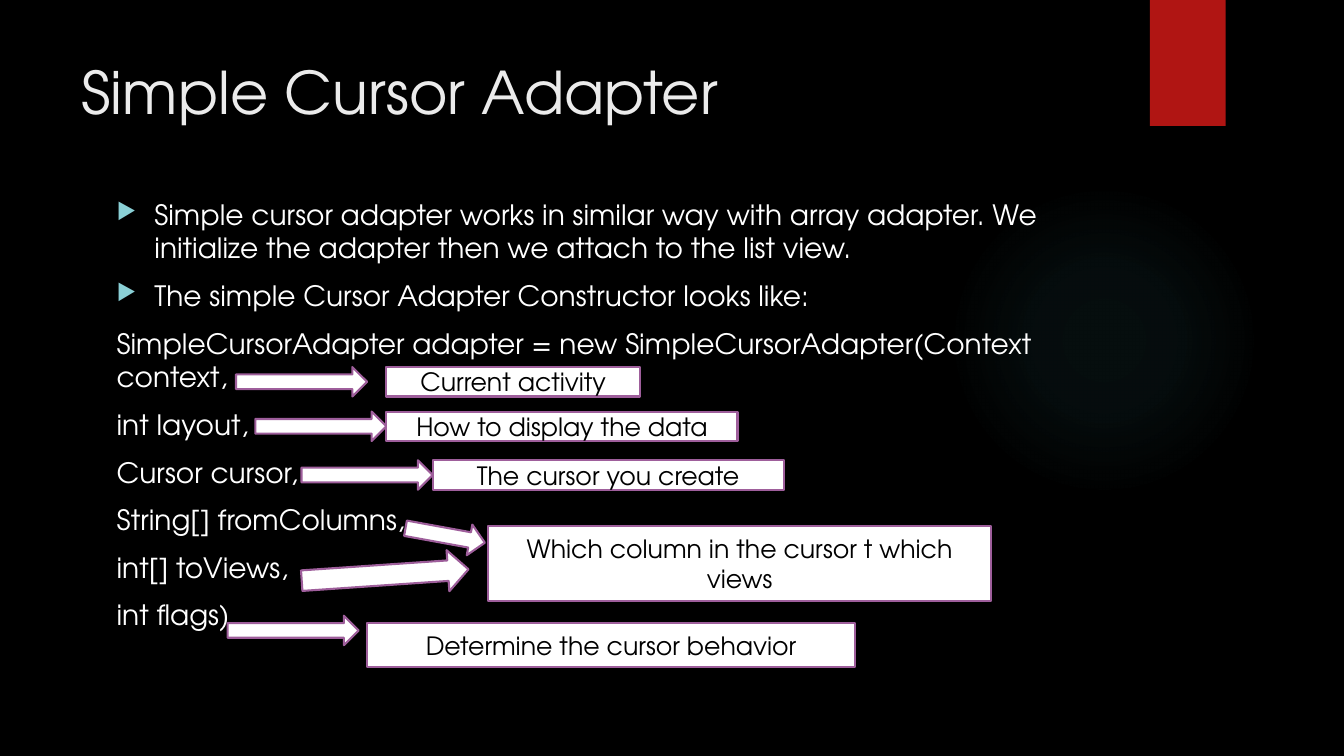
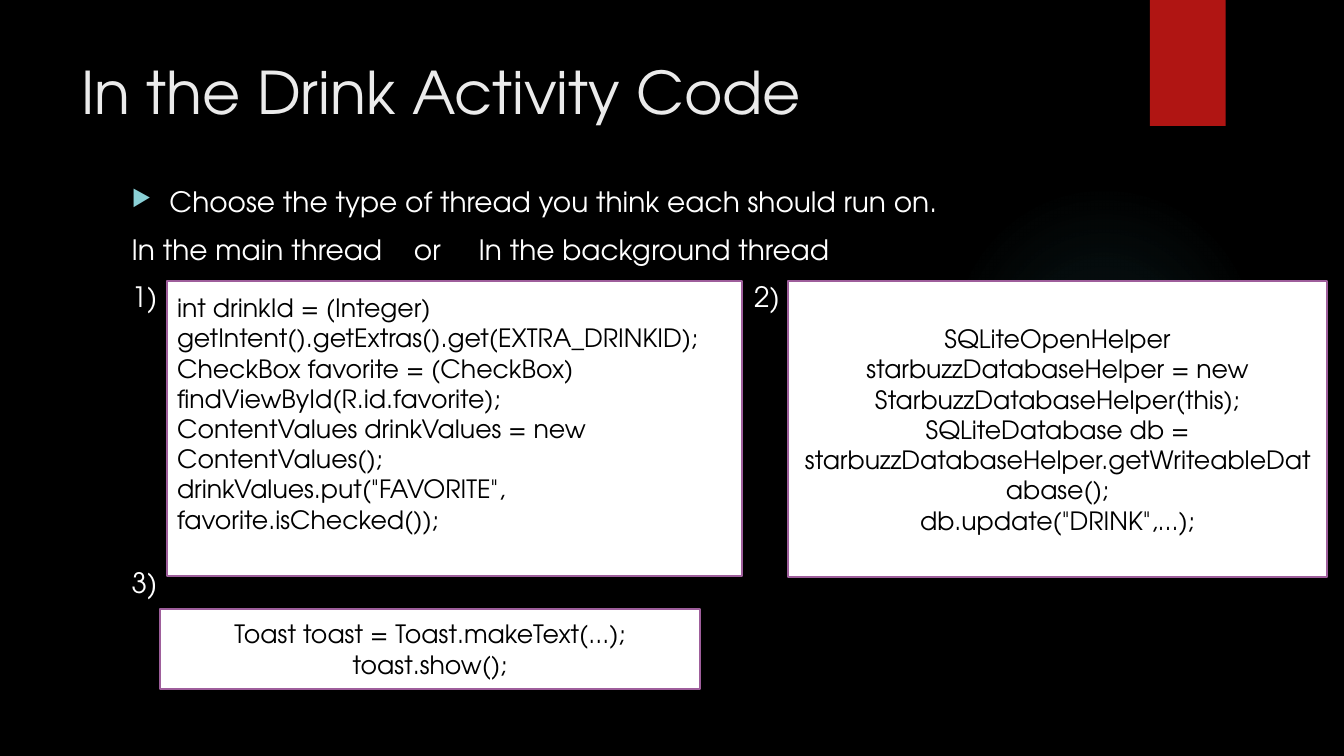
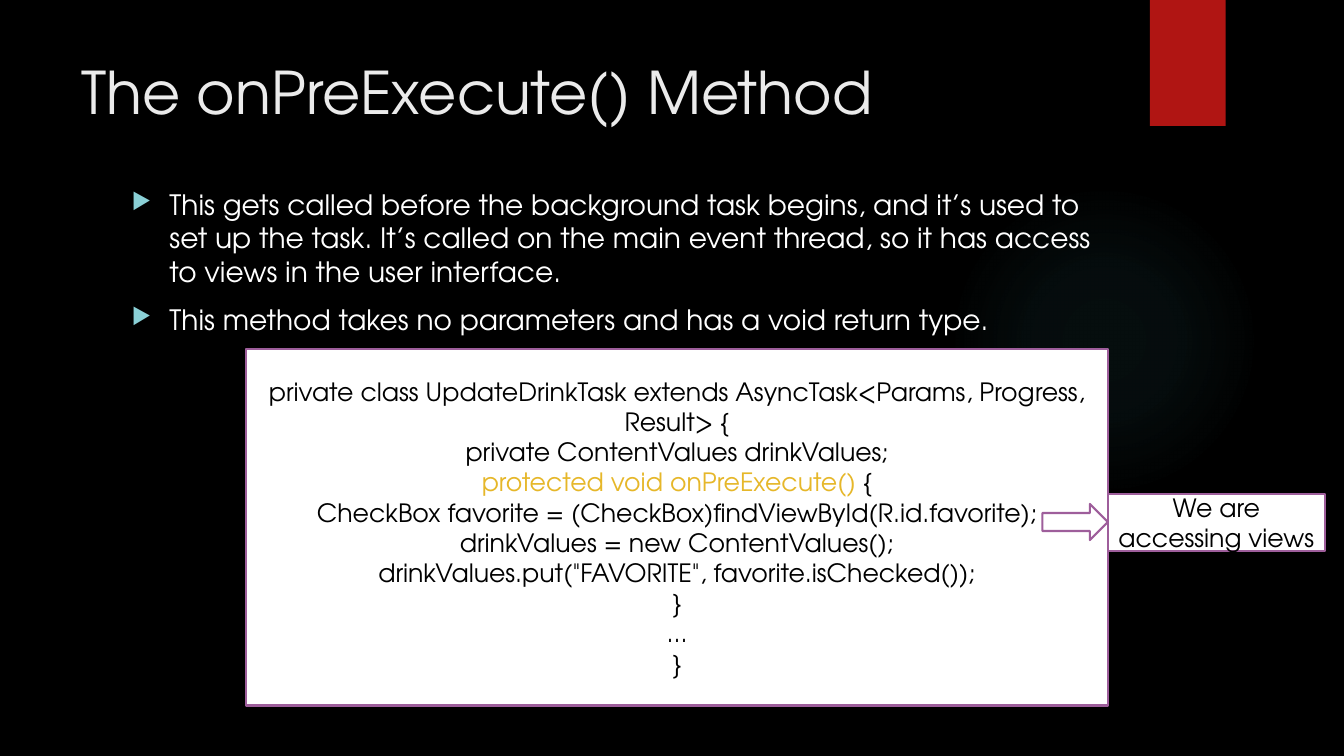
"""Build three dark slides on cursor adapters and background tasks."""
from lxml import etree
from pptx import Presentation
from pptx.dml.color import RGBColor as Color
from pptx.enum.shapes import MSO_SHAPE as Kind
from pptx.enum.text import MSO_ANCHOR as Anchor, MSO_AUTO_SIZE as Auto, PP_ALIGN as Align
from pptx.oxml import parse_xml
from pptx.oxml.ns import nsdecls, qn
from pptx.util import Inches, Pt

BLACK = Color(0x00, 0x00, 0x00)
WHITE = Color(0xFF, 0xFF, 0xFF)
PALE = Color(0xEB, 0xEB, 0xEB)
RED = Color(0xB0, 0x15, 0x13)
TEAL = Color(0x50, 0xB9, 0xC1)
AQUA = Color(0x8A, 0xD0, 0xD6)
PLUM = Color(0x9E, 0x5E, 0x9B)
GOLD = Color(0xE6, 0xB7, 0x29)
FONT = "TeX Gyre Adventor"
COLS, ROWS = 160, 90
UNIT = Inches(1 / 12)
RIGHT, BASE = 131.9, 82
THIN = 3.5
REACH = 15.6


def write(frame, paras, size=18, color=BLACK, align=Align.CENTER,
          anchor=Anchor.MIDDLE, gap=0, bullets=0, tabs=(), gaps={}):
    """Fill a text frame; a paragraph is a string or a list of (text, colour)."""
    frame.word_wrap = True
    frame.auto_size = Auto.NONE
    frame.vertical_anchor = anchor
    for n, para in enumerate(paras):
        p = frame.add_paragraph() if n else frame.paragraphs[0]
        prop = p._p.get_or_add_pPr()
        if n < bullets:
            prop.set("marL", str(int(4.5 * UNIT)))
            prop.set("indent", str(int(-4.5 * UNIT)))
            tint = etree.SubElement(prop, qn("a:buClr"))
            etree.SubElement(tint, qn("a:srgbClr"), val=str(AQUA))
            etree.SubElement(prop, qn("a:buSzPct"), val="80000")
            etree.SubElement(prop, qn("a:buChar"), char="▶")
        if tabs and "\t" in para:
            stops = etree.SubElement(prop, qn("a:tabLst"))
            for stop in tabs:
                etree.SubElement(stops, qn("a:tab"), pos=str(int(stop * UNIT)), algn="l")
        p.alignment = align
        p.space_before = Pt(gaps.get(n, gap) if n else 0)
        for text, shade in [(para, color)] if isinstance(para, str) else para:
            run = p.add_run()
            run.text = text
            run.font.size, run.font.name = Pt(size), FONT
            run.font.color.rgb = shade


def draw(slide, kind, at, fill=WHITE, line=PLUM, turn=0):
    """Add a flat preset shape placed in grid units."""
    shape = slide.shapes.add_shape(kind, *(int(n * UNIT) for n in at))
    shape.shadow.inherit = False
    shape.rotation = turn
    shape.fill.solid()
    shape.fill.fore_color.rgb = fill
    if line:
        shape.line.color.rgb = line
        shape.line.width = Pt(1.5)
    else:
        shape.line.fill.background()
    return shape


deck = Presentation()
deck.slide_width, deck.slide_height = COLS * UNIT, ROWS * UNIT
base = deck.slide_layouts[5]
base.background.fill.solid()
base.background.fill.fore_color.rgb = BLACK
head = base.placeholders[0]
head.left, head.top, head.width, head.height = (
    int(n * UNIT) for n in (8.5, 6, 123.5, 18.4))

pages = [
    ("Simple Cursor Adapter", (12.7, 22.9), 2, [
        "Simple cursor adapter works in similar way with array adapter. "
        "We initialize the adapter then we attach to the list view.",
        "The simple Cursor Adapter Constructor looks like:",
        "SimpleCursorAdapter adapter = new SimpleCursorAdapter(Context context,",
        "int layout,",
        "Cursor cursor,",
        "String[] fromColumns,",
        "int[] toViews,",
        "int flags)"], {}),
    ("In the Drink Activity Code", (14.5, 21.4), 1, [
        "Choose the type of thread you think each should run on.",
        "In the main thread\tor\tIn the background thread",
        "1)\t\t\t2)",
        "3)"], {3: 180}),
    ("The onPreExecute() Method", (14.5, 21.7), 2, [
        "This gets called before the background task begins, and it’s used to set up "
        "the task. It’s called on the main event thread, so it has access to views "
        "in the user interface.",
        "This method takes no parameters and has a void return type."], {}),
]
slides = []
for title, (left, top), marks, lines, gaps in pages:
    slide = deck.slides.add_slide(base)
    slides.append(slide)
    write(slide.shapes.title.text_frame, [title], size=42, color=PALE,
          align=Align.LEFT, anchor=Anchor.TOP)
    body = slide.shapes.add_textbox(
        *(int(n * UNIT) for n in (left, top, RIGHT - left, BASE - top)))
    write(body.text_frame, lines, size=20, color=WHITE, align=Align.LEFT,
          anchor=Anchor.TOP, gap=10, bullets=marks, tabs=(33.6, 41.3, 74.1), gaps=gaps)

adapter, drink, task = slides

glow = draw(adapter, Kind.OVAL, (112.9, 22, 37, 37), TEAL, None)
stops = "".join(
    f'<a:gs pos="{pos}000"><a:srgbClr val="{TEAL}"><a:alpha val="{alpha}000"/></a:srgbClr></a:gs>'
    for pos, alpha in ((0, 7), (36, 6), (69, 0)))
blend = parse_xml(
    f'<a:gradFill {nsdecls("a")}><a:gsLst>{stops}</a:gsLst><a:path path="circle">'
    '<a:fillToRect l="50000" t="50000" r="50000" b="50000"/></a:path></a:gradFill>')
solid = glow.element.spPr.find(qn("a:solidFill"))
solid.getparent().replace(solid, blend)
ribbon = draw(adapter, Kind.RECTANGLE, (136.9, 0, 9, 15), RED, None)
for spot, part in enumerate((glow, ribbon), 2):
    base.shapes.element.insert(spot, part.element)

arrows = [
    (adapter, (28.1, 43.7, REACH, THIN), 0),
    (adapter, (30.4, 49, REACH, THIN), 0),
    (adapter, (35.9, 54.8, REACH, THIN), 0),
    (adapter, (48.2, 61.9, 9.6, 3.7), 10.3),
    (adapter, (35.9, 66, 19.9, 4.9), -3.9),
    (adapter, (27.1, 73.3, REACH, THIN), 0),
]
for slide, at, turn in arrows:
    draw(slide, Kind.RIGHT_ARROW, at, turn=turn)

boxes = [
    (adapter, (46, 43.7, 30.2, THIN), ["Current activity"]),
    (adapter, (46, 49, 41.8, THIN), ["How to display the data"]),
    (adapter, (51.5, 54.8, 41.8, THIN), ["The cursor you create"]),
    (adapter, (58.1, 62.6, 59.9, 9), ["Which column in the cursor t which views"]),
    (adapter, (43.7, 74.2, 58.1, 5.2), ["Determine the cursor behavior"]),
    (drink, (93.8, 33.5, 64.2, 35.2), [
        "SQLiteOpenHelper starbuzzDatabaseHelper = new StarbuzzDatabaseHelper(this);",
        "SQLiteDatabase db = starbuzzDatabaseHelper.getWriteableDatabase();",
        'db.update("DRINK",...);']),
    (drink, (19.1, 72.5, 64.2, 9.5), [
        "Toast toast = Toast.makeText(...);", "toast.show();"]),
    (task, (29.3, 41.5, 102.6, 42.5), [
        "private class UpdateDrinkTask extends AsyncTask<Params, Progress, Result> {",
        "private ContentValues drinkValues;",
        [("protected void onPreExecute() ", GOLD), ("{", BLACK)],
        "CheckBox favorite = (CheckBox)findViewById(R.id.favorite);",
        "drinkValues = new ContentValues();",
        'drinkValues.put("FAVORITE", favorite.isChecked());',
        "}", "...", "}"]),
    (task, (RIGHT, 58.8, 25.8, 6.8), ["We are accessing views"]),
]
for slide, at, lines in boxes:
    write(draw(slide, Kind.RECTANGLE, at).text_frame, lines)
draw(task, Kind.RIGHT_ARROW, (124.1, 60, 7.8, 4.3))

code = draw(drink, Kind.RECTANGLE, (19.9, 33.4, 68.4, 35.2)).text_frame
code.margin_bottom = Inches(0.35)
write(code, [
    "int drinkId = (Integer) getIntent().getExtras().get(EXTRA_DRINKID);",
    "CheckBox favorite = (CheckBox) findViewById(R.id.favorite);",
    "ContentValues drinkValues = new ContentValues();",
    'drinkValues.put("FAVORITE", favorite.isChecked());'], align=Align.LEFT)

deck.save("out.pptx")
